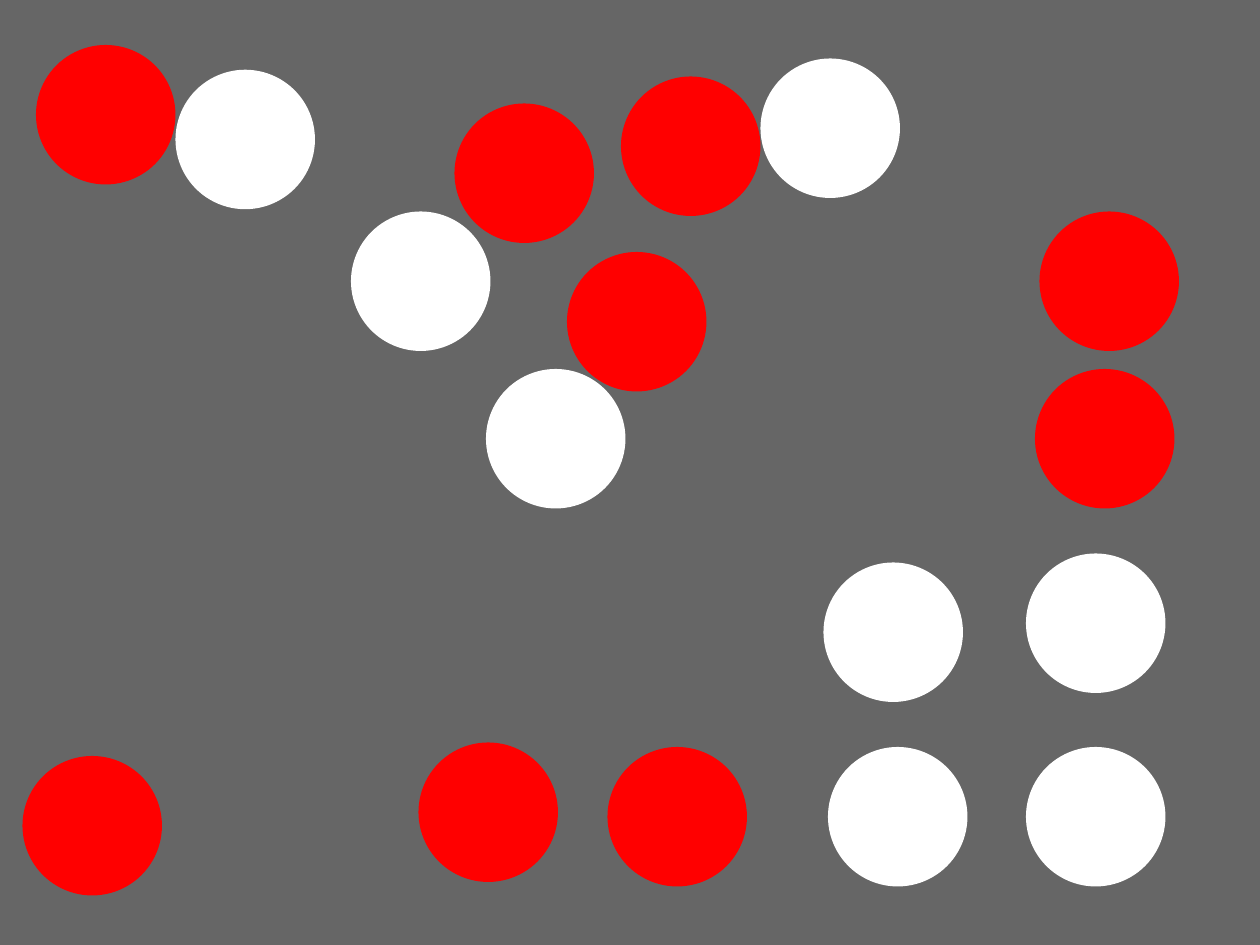
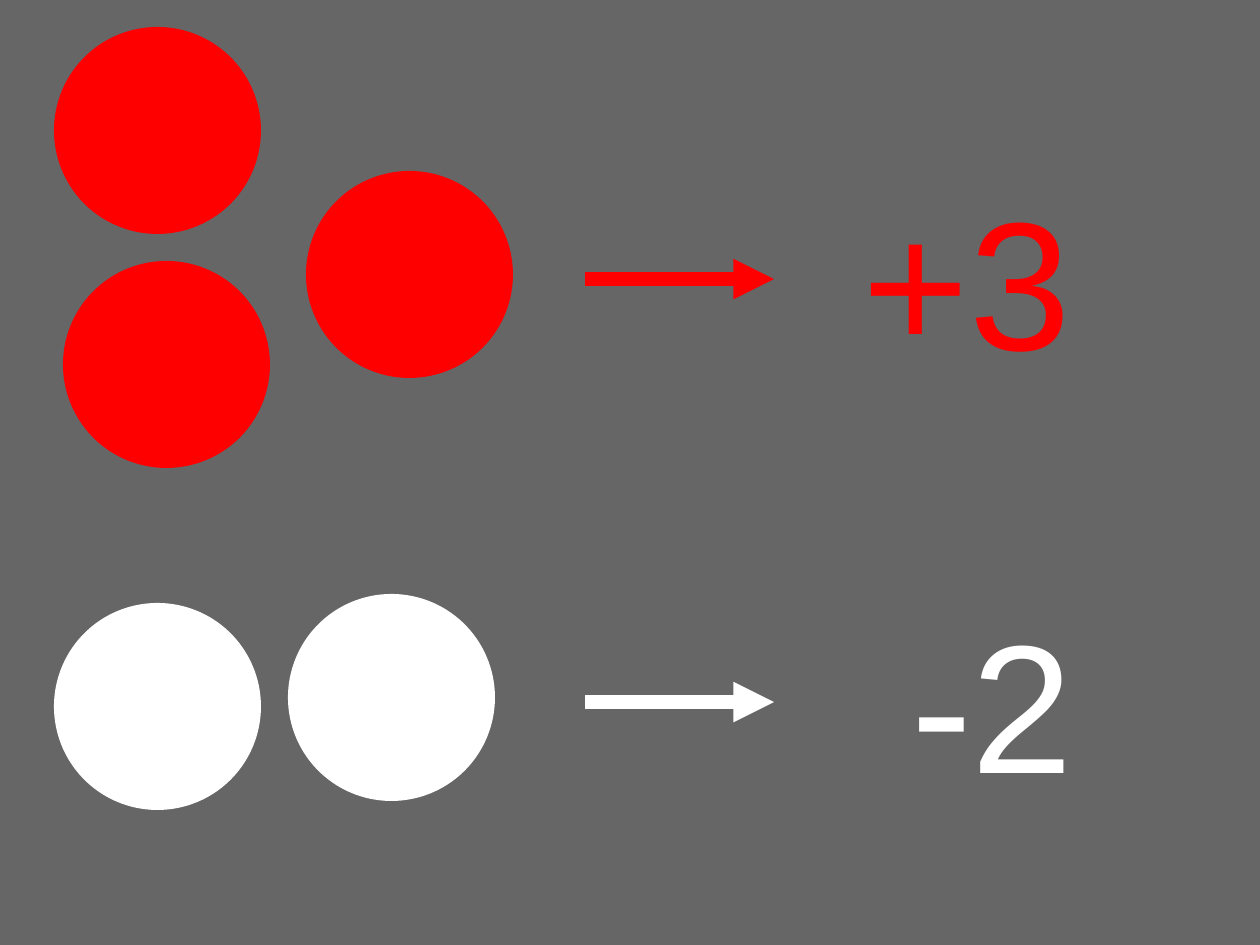
from lxml.etree import SubElement
from pptx import Presentation
from pptx.dml.color import RGBColor
from pptx.enum.shapes import MSO_CONNECTOR as Connector, MSO_SHAPE as Shape
from pptx.enum.text import MSO_AUTO_SIZE as AutoSize
from pptx.oxml.ns import qn
from pptx.util import Cm, Pt

WIDTH, HEIGHT = 28, 21
GREY, RED, WHITE = "666666", "FF0000", "FFFFFF"
FONT = "Arial"

SCATTERED_TOKENS = {
    WHITE: [(7.8, 4.7), (3.9, 1.55), (10.8, 8.2), (16.9, 1.3),
            (18.4, 16.6), (22.8, 16.6), (18.3, 12.5), (22.8, 12.3)],
    RED: [(13.8, 1.7), (12.6, 5.6), (10.1, 2.3), (0.8, 1), (9.3, 16.5),
          (13.5, 16.6), (23, 8.2), (23.1, 4.7), (0.5, 16.8)],
}
RED_GROUP = [(1.2, 0.6), (1.4, 5.8), (6.8, 3.8)]
WHITE_GROUP = [(1.2, 4), (6.4, 3.8)]


def paint(colour_format, colour):
    colour_format.rgb = RGBColor.from_string(colour)


def add_plain(slide, kind, left, top, width, height, colour):
    shape = slide.shapes.add_shape(kind, Cm(left), Cm(top), Cm(width), Cm(height))
    shape.shadow.inherit = False
    shape.fill.solid()
    paint(shape.fill.fore_color, colour)
    shape.line.fill.background()


def add_board(deck):
    slide = deck.slides.add_slide(deck.slide_layouts[6])
    add_plain(slide, Shape.RECTANGLE, 0, 0, WIDTH, HEIGHT, GREY)
    return slide


def add_tokens(slide, left, top, places, diameter, colour):
    for x, y in places:
        add_plain(slide, Shape.OVAL, left + x, top + y, diameter, diameter, colour)


def add_arrow(slide, left, top, length, colour):
    arrow = slide.shapes.add_connector(
        Connector.STRAIGHT, Cm(left), Cm(top), Cm(left + length), Cm(top))
    arrow.line.width = Pt(8.5)
    paint(arrow.line.color, colour)
    SubElement(arrow.line._get_or_add_ln(), qn("a:tailEnd"), type="triangle")
    SubElement(arrow._element.spPr, qn("a:effectLst"))


def add_value(slide, left, top, value, colour):
    box = slide.shapes.add_textbox(Cm(left), Cm(top), Cm(5.7), Cm(4.78))
    frame = box.text_frame
    frame.word_wrap = True
    frame.auto_size = AutoSize.SHAPE_TO_FIT_TEXT
    frame.text = value
    font = frame.paragraphs[0].font
    font.name, font.size = FONT, Pt(115)
    paint(font.color, colour)


def add_count(slide, left, top, places, value, value_left, colour):
    add_tokens(slide, left, top, places, 4.6, colour)
    add_arrow(slide, left + 13, top + 6.2, 4.2, colour)
    add_value(slide, left + value_left, top + 3.6, value, colour)


def main():
    deck = Presentation()
    deck.slide_width, deck.slide_height = Cm(WIDTH), Cm(HEIGHT)

    scatter = add_board(deck)
    for colour, places in SCATTERED_TOKENS.items():
        add_tokens(scatter, 0, 0, places, 3.1, colour)

    counts = add_board(deck)
    add_count(counts, 0, 0, RED_GROUP, "+3", 18.92, RED)
    add_count(counts, 0, 9.4, WHITE_GROUP, "-2", 20, WHITE)

    deck.save("out.pptx")


if __name__ == "__main__":
    main()
